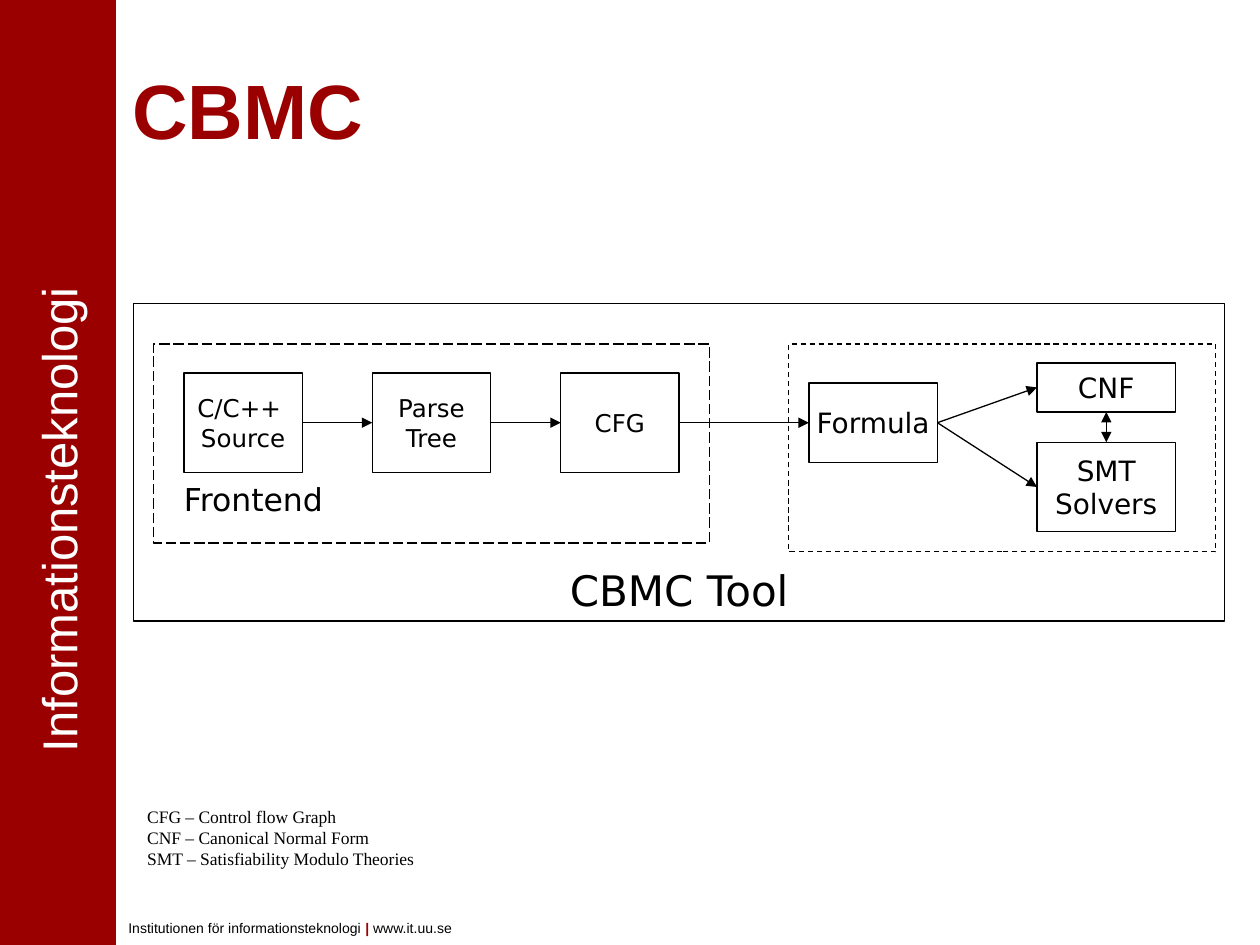
from lxml import etree
from pptx import Presentation
from pptx.dml.color import RGBColor
from pptx.enum import dml, shapes, text
from pptx.oxml.ns import qn
from pptx.util import Inches, Pt

COLORS = {"red": "9A0000", "white": "FFFFFF", "black": "000000"}
TOP, LEFT, BOTTOM, RIGHT = range(4)  # connection sites of a rectangle


def color(name):
    return RGBColor.from_string(COLORS[name])


def add_run(paragraph, words, size, font, color_name="black", bold=False):
    run = paragraph.add_run()
    run.text = words
    run.font.size = Pt(size)
    run.font.name = font
    run.font.bold = bold
    run.font.color.rgb = color(color_name)


def fill_lines(frame, lines, size, font, align, color_name="black"):
    for index, words in enumerate(lines):
        paragraph = frame.add_paragraph() if index else frame.paragraphs[0]
        paragraph.alignment = align
        add_run(paragraph, words, size, font, color_name)


def add_text(slide, left, top, width, height, wrap=True):
    shape = slide.shapes.add_textbox(
        Inches(left), Inches(top), Inches(width), Inches(height))
    shape.text_frame.word_wrap = wrap
    return shape


def add_box(slide, left, top, width, height, lines=(), size=14, dash=None,
            anchor=text.MSO_ANCHOR.MIDDLE, align=text.PP_ALIGN.CENTER):
    shape = slide.shapes.add_shape(
        shapes.MSO_SHAPE.RECTANGLE,
        Inches(left), Inches(top), Inches(width), Inches(height))
    shape.shadow.inherit = False
    shape.fill.solid()
    shape.fill.fore_color.rgb = color("white")
    shape.line.color.rgb = color("black")
    shape.line.width = Pt(0.75)
    if dash is not None:
        shape.line.dash_style = dash
    frame = shape.text_frame
    frame.word_wrap = align == text.PP_ALIGN.LEFT
    frame.vertical_anchor = anchor
    fill_lines(frame, lines, size, "DejaVu Sans", align)
    return shape


def add_arrow(slide, start, start_site, end, end_site, both_ends=False):
    connector = slide.shapes.add_connector(
        shapes.MSO_CONNECTOR.STRAIGHT, 0, 0, 0, 0)
    connector.begin_connect(start, start_site)
    connector.end_connect(end, end_site)
    connector.line.color.rgb = color("black")
    connector.line.width = Pt(0.75)
    line = connector.line._get_or_add_ln()
    for tag in ("a:headEnd", "a:tailEnd") if both_ends else ("a:tailEnd",):
        etree.SubElement(line, qn(tag), type="triangle")
    etree.SubElement(connector._element.spPr, qn("a:effectLst"))


def add_frame(slide):
    # Red sidebar with the department name
    sidebar = slide.shapes.add_shape(
        shapes.MSO_SHAPE.RECTANGLE, 0, 0, Inches(0.92), Inches(7.5))
    sidebar.shadow.inherit = False
    sidebar.fill.solid()
    sidebar.fill.fore_color.rgb = color("red")
    sidebar.line.fill.background()
    department = add_text(slide, -2.5, 3.84, 5.92, 0.57)
    department.rotation = 270
    fill_lines(department.text_frame, ["Informationsteknologi"], 28, "Arial",
               text.PP_ALIGN.CENTER, "white")

    # Footer
    footer = add_text(slide, 0.92, 7.25, 5.92, 0.24)
    paragraph = footer.text_frame.paragraphs[0]
    add_run(paragraph, "Institutionen för informationsteknologi ", 8, "Arial")
    add_run(paragraph, "|", 8, "Arial", "red", bold=True)
    add_run(paragraph, " www.it.uu.se", 8, "Arial")


def add_title(slide, words):
    title = slide.shapes.title
    title.left, title.top = Inches(0.95), Inches(0.44)
    title.width, title.height = Inches(8.93), Inches(0.84)
    frame = title.text_frame
    frame.auto_size = text.MSO_AUTO_SIZE.NONE
    frame.vertical_anchor = text.MSO_ANCHOR.BOTTOM
    paragraph = frame.paragraphs[0]
    paragraph.alignment = text.PP_ALIGN.LEFT
    add_run(paragraph, words, 44, "Arial", "red", bold=True)


def add_diagram(slide):
    # Enclosing tool and its two halves
    add_box(slide, 1.06, 2.41, 8.66, 2.52, ["CBMC Tool"], 24,
            anchor=text.MSO_ANCHOR.BOTTOM)
    frontend = add_box(slide, 1.22, 2.73, 4.41, 1.58, ["Frontend"], 18,
                       dash=dml.MSO_LINE.LONG_DASH,
                       anchor=text.MSO_ANCHOR.BOTTOM,
                       align=text.PP_ALIGN.LEFT)
    frontend.text_frame.margin_left = Inches(0.24)
    frontend.text_frame.margin_bottom = Inches(0.2)
    add_box(slide, 6.26, 2.73, 3.39, 1.65, dash=dml.MSO_LINE.DASH)

    # Processing steps
    steps = [["C/C++ ", "Source"], ["Parse", "Tree"], ["CFG"]]
    chain = [add_box(slide, 1.46 + 1.495 * index, 2.96, 0.94, 0.79, lines)
             for index, lines in enumerate(steps)]
    formula = add_box(slide, 6.42, 3.04, 1.02, 0.63, ["Formula"], 16)
    cnf = add_box(slide, 8.23, 2.88, 1.1, 0.39, ["CNF"], 16)
    solvers = add_box(slide, 8.23, 3.51, 1.1, 0.71, ["SMT", "Solvers"], 16)

    # Arrows
    chain.append(formula)
    pairs = list(zip(chain, chain[1:])) + [(formula, cnf), (formula, solvers)]
    for start, end in pairs:
        add_arrow(slide, start, RIGHT, end, LEFT)
    add_arrow(slide, cnf, BOTTOM, solvers, TOP, both_ends=True)


def main():
    presentation = Presentation()
    presentation.slide_width = Inches(10)
    presentation.slide_height = Inches(7.5)
    slide = presentation.slides.add_slide(presentation.slide_layouts[5])
    add_frame(slide)
    add_title(slide, "CBMC")
    add_diagram(slide)

    # Abbreviations
    legend = add_text(slide, 1.07, 6.35, 2.32, 0.6, wrap=False)
    fill_lines(legend.text_frame,
               ["CFG – Control flow Graph",
                "CNF – Canonical Normal Form",
                "SMT – Satisfiability Modulo Theories"],
               10, "Times New Roman", text.PP_ALIGN.LEFT)
    presentation.save("out.pptx")


if __name__ == "__main__":
    main()
